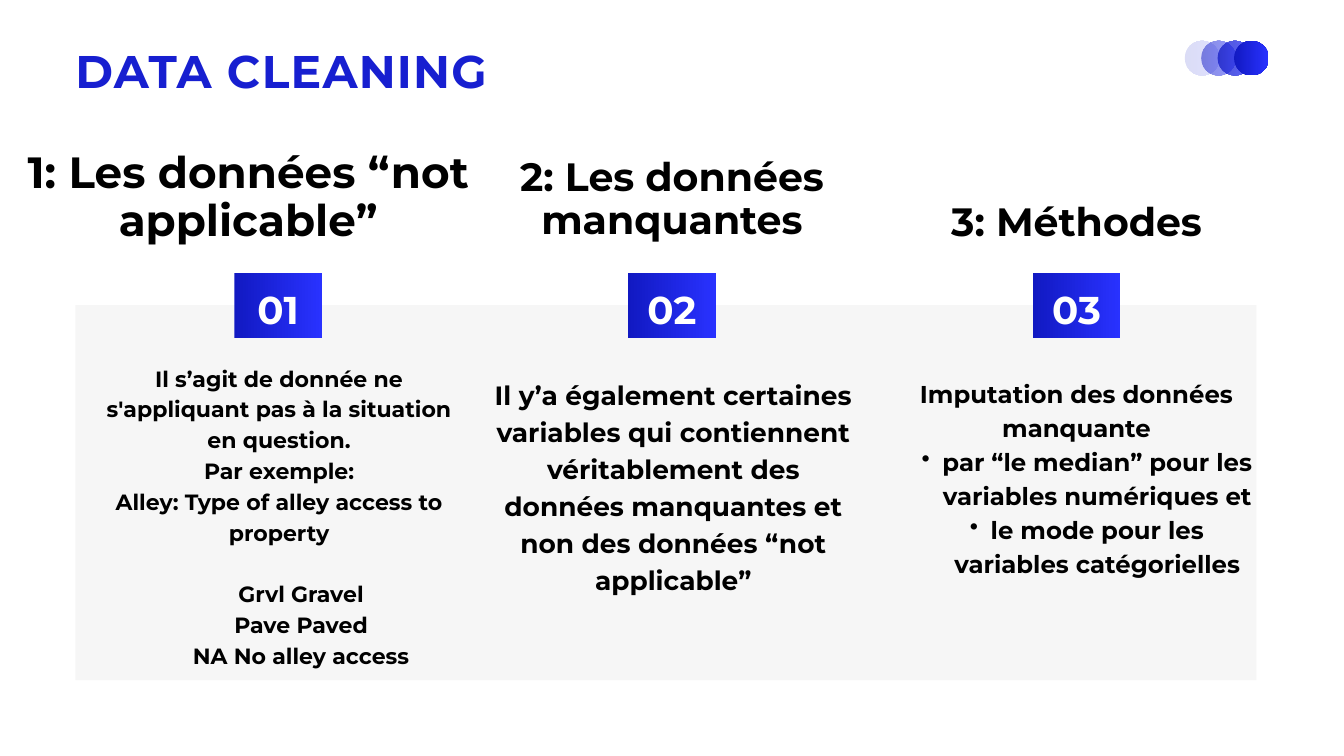
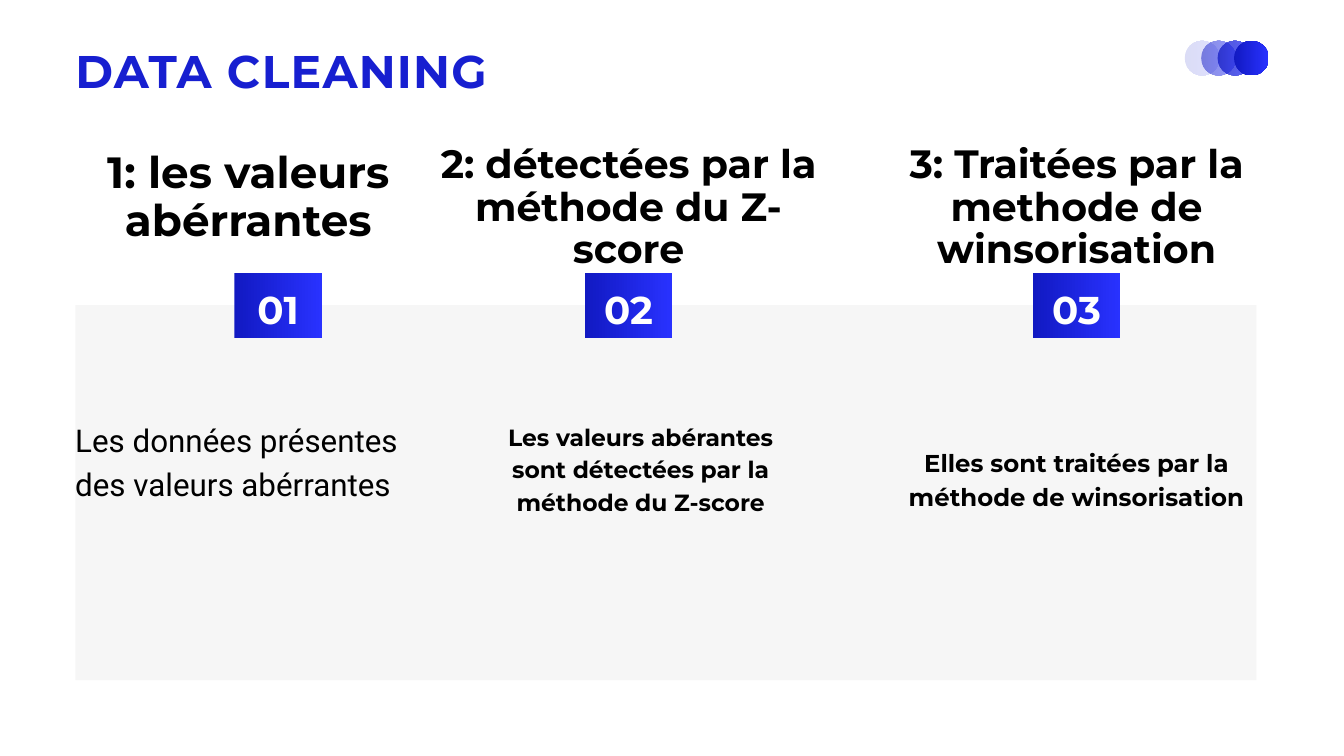
from dataclasses import dataclass
from lxml.etree import SubElement
from pptx import Presentation
from pptx.dml.color import RGBColor
from pptx.enum.shapes import MSO_SHAPE as SHAPE
from pptx.enum.text import MSO_ANCHOR as ANCHOR, MSO_AUTO_SIZE as AUTO, PP_ALIGN as ALIGN
from pptx.oxml.ns import qn
from pptx.util import Pt

# Shared look
SLIDE_W, SLIDE_H = 1440, 810
BLUE, BLACK, WHITE, GREY = "171FD0", "000000", "FFFFFF", "F6F6F6"
GRADIENT = ("1119C2", "2932FF")
TITLE_BOX = (80.8, 36, 618.5, 126.7)
PANEL_BOX = (80.8, 327, 1265.5, 401.7)
DOTS_BOX = (1269.4, 43.7, 90, 37.2)
DOT_ALPHAS = (15, 50, 75, 100)
BADGE_W, BADGE_H = 93.8, 70


@dataclass
class Style:
    size: float
    leading: float
    color: str = BLACK
    font: str = "Montserrat"
    bold: bool = True
    align: ALIGN = ALIGN.CENTER


@dataclass
class Para:
    text: str
    bullet: bool = False
    left: float = 0
    before: float = 0


@dataclass
class Block:
    """Text whose middle lies dx right of its column's centre."""
    paras: list
    top: float
    width: float
    height: float
    style: Style
    dx: float = 0


@dataclass
class Column:
    centre: float
    heading: Block
    body: Block


TITLE = Style(49, 68.6, BLUE, align=ALIGN.LEFT)
NUMBER = Style(41.5, 58.2, WHITE)
HEADING = Style(42.3, 45.7)
BIG_HEADING = Style(46.8, 50.5)
METHOD = Style(26.1, 36.5)


def rgb(value):
    return RGBColor.from_string(value)


def write(tf, paras, style):
    tf.word_wrap = True
    tf.auto_size = AUTO.NONE
    tf.vertical_anchor = ANCHOR.TOP
    tf.margin_left = tf.margin_right = tf.margin_top = tf.margin_bottom = 0
    for i, para in enumerate(paras):
        p = tf.add_paragraph() if i else tf.paragraphs[0]
        p.text = para.text
        p.alignment = style.align
        p.line_spacing = Pt(style.leading)
        p.space_before = Pt(para.before)
        pPr = p._p.get_or_add_pPr()
        if para.left:
            pPr.set("marL", str(Pt(para.left)))
        if para.bullet:
            p.level = 1
            pPr.set("marL", str(Pt(44.6)))
            pPr.set("indent", str(Pt(-22.3)))
            SubElement(pPr, qn("a:buChar")).set("char", "•")
        for r in p.runs:
            r.font.size = Pt(style.size)
            r.font.name = style.font
            r.font.bold = style.bold
            r.font.color.rgb = rgb(style.color)


def add_shape(s, kind, x, y, w, h):
    sp = s.shapes.add_shape(kind, Pt(x), Pt(y), Pt(w), Pt(h))
    sp.shadow.inherit = False
    sp.line.fill.background()
    return sp


def fill_gradient(sp, alpha=100):
    sp.fill.gradient()
    sp.fill.gradient_angle = 0
    for i, stop in enumerate(sp.fill.gradient_stops):
        stop.position = i
        stop.color.rgb = rgb(GRADIENT[i])
    if alpha < 100:
        for color in sp._element.spPr.iter(qn("a:srgbClr")):
            SubElement(color, qn("a:alpha")).set("val", str(alpha * 1000))


def add_title(s, box, text):
    title = s.shapes.title
    title.left, title.top, title.width, title.height = map(Pt, box)
    write(title.text_frame, [Para(text)], TITLE)
    title.text_frame.paragraphs[0].runs[0]._r.get_or_add_rPr().set("spc", "140")


def add_dots(s, box):
    x, y, w, size = box
    step = (w - size) / (len(DOT_ALPHAS) - 1)
    for i, alpha in enumerate(DOT_ALPHAS):
        fill_gradient(add_shape(s, SHAPE.OVAL, x + i * step, y, size, size), alpha)


def add_panel(s, box):
    panel = add_shape(s, SHAPE.RECTANGLE, *box)
    panel.fill.solid()
    panel.fill.fore_color.rgb = rgb(GREY)


def add_badge(s, centre, middle, number):
    badge = add_shape(s, SHAPE.RECTANGLE, centre - BADGE_W / 2, middle - BADGE_H / 2,
                      BADGE_W, BADGE_H)
    fill_gradient(badge)
    write(badge.text_frame, [Para(f"{number:02}")], NUMBER)
    badge.text_frame.margin_top = Pt(5.8)


def add_block(s, centre, block):
    left = centre + block.dx - block.width / 2
    sp = s.shapes.add_textbox(Pt(left), Pt(block.top), Pt(block.width), Pt(block.height))
    write(sp.text_frame, block.paras, block.style)


def add_cleaning_slide(prs, columns):
    s = prs.slides.add_slide(prs.slide_layouts[5])
    add_title(s, TITLE_BOX, "DATA CLEANING")
    add_panel(s, PANEL_BOX)
    add_dots(s, DOTS_BOX)
    for number, column in enumerate(columns, 1):
        add_badge(s, column.centre, PANEL_BOX[1], number)
        add_block(s, column.centre, column.heading)
        add_block(s, column.centre, column.body)


def heading(text, top, lines):
    return Block([Para(text)], top, 434, lines * HEADING.leading, HEADING)


def big_heading(text):
    return Block([Para(text)], 161.3, 479.5, 102, BIG_HEADING, dx=-32)


# Missing data
MISSING = [
    Column(298, big_heading("1: Les données “not applicable”"),
           Block([Para("Il s’agit de donnée ne s'appliquant pas à la situation en question."),
                  Para("Par exemple:"),
                  Para("Alley: Type of alley access to property"),
                  Para("Grvl Gravel", left=47, before=33),
                  Para("Pave Paved", left=47),
                  Para("NA No alley access", left=47)],
                 386.6, 406.8, 356.4, Style(23.6, 33), dx=1)),
    Column(720, heading("2: Les données manquantes", 167.8, 2),
           Block([Para("Il y’a également certaines variables qui contiennent véritablement "
                       "des données manquantes et non des données “not applicable”")],
                 401, 387.4, 231, Style(28.3, 39.6), dx=1.5)),
    Column(1153.5, heading("3: Méthodes", 216, 1),
           Block([Para("Imputation des données manquante"),
                  Para("par “le median” pour les variables numériques et", bullet=True),
                  Para("le mode pour les variables catégorielles", bullet=True)],
                 401, 385.2, 252, METHOD)),
]

# Outliers
OUTLIERS = [
    Column(298, big_heading("1: les valeurs abérrantes"),
           Block([Para("Les données présentes des valeurs abérrantes")],
                 445, 406.8, 126.7,
                 Style(33.6, 47, font="Roboto", bold=False, align=ALIGN.LEFT), dx=-14)),
    Column(673.5, heading("2: détectées par la méthode du Z-score", 154, 3),
           Block([Para("Les valeurs abérantes sont détectées par la méthode du Z-score")],
                 447.8, 343.4, 102, Style(25.1, 35.2), dx=13)),
    Column(1153.5, heading("3: Traitées par la methode de winsorisation", 154, 3),
           Block([Para("Elles sont traitées par la méthode de winsorisation")],
                 474.5, 385.2, 70.6, METHOD)),
]


def main():
    prs = Presentation()
    prs.slide_width, prs.slide_height = Pt(SLIDE_W), Pt(SLIDE_H)
    for columns in (MISSING, OUTLIERS):
        add_cleaning_slide(prs, columns)
    prs.save("out.pptx")


if __name__ == "__main__":
    main()
